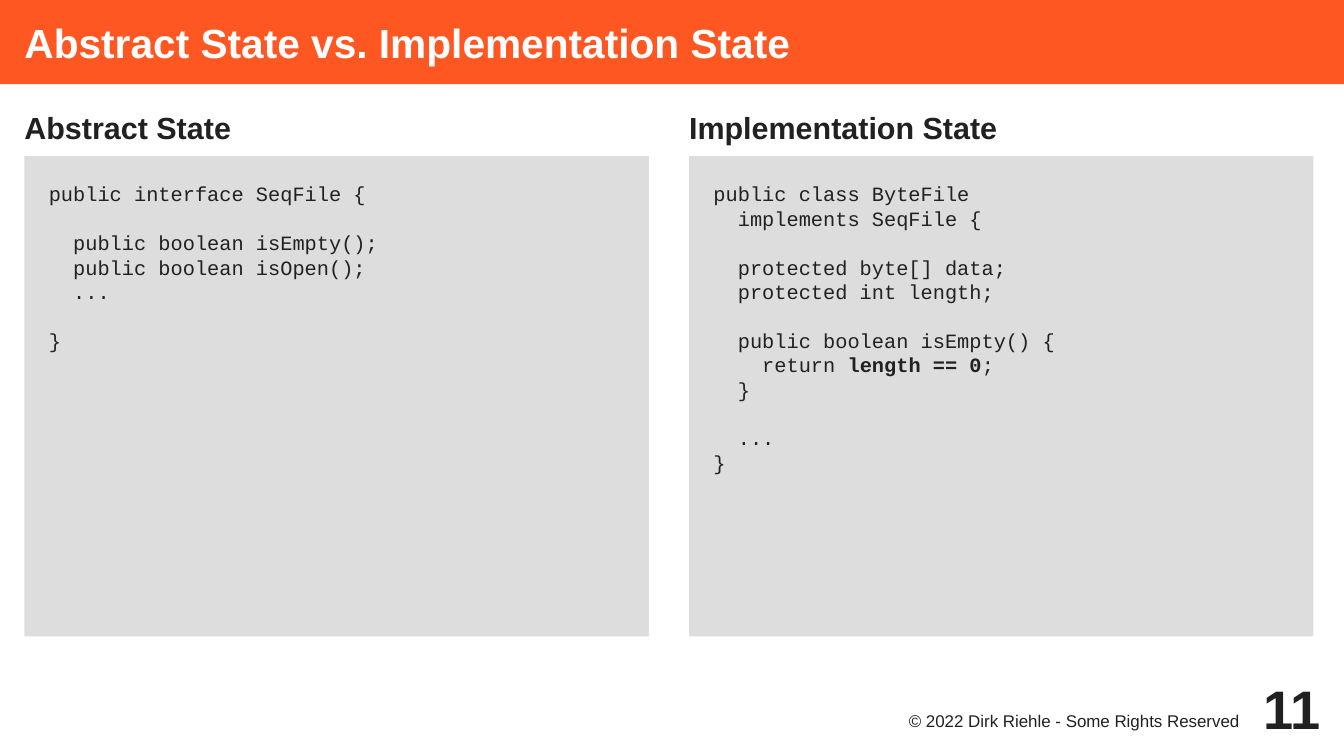
import pptx
import pptx.dml.color
import pptx.enum.text
import pptx.util
from lxml import etree
from pptx.oxml.ns import qn

Inches, Pt = pptx.util.Inches, pptx.util.Pt
RGBColor = pptx.dml.color.RGBColor
ALIGN = pptx.enum.text.PP_ALIGN
ANCHOR = pptx.enum.text.MSO_ANCHOR

ORANGE = RGBColor(0xFF, 0x57, 0x22)
WHITE = RGBColor(0xFF, 0xFF, 0xFF)
INK = RGBColor(0x21, 0x21, 0x21)
GREY = RGBColor(0xDD, 0xDD, 0xDD)

TITLE = {"name": "Arial", "size": Pt(24), "bold": True}
HEADING = {"name": "Arial", "size": Pt(18), "bold": True}
CODE = {"name": "Courier New", "size": Pt(12), "bold": False}
FOOTER = {"name": "Arial", "size": Pt(10), "bold": False}
NUMBER = {"name": "Arial", "size": Pt(32), "bold": True}
CODE_LINE = 14.4

ABSTRACT_CODE = """\
public interface SeqFile {

  public boolean isEmpty();
  public boolean isOpen();
  ...

}"""

IMPLEMENTATION_CODE = """\
public class ByteFile
  implements SeqFile {

  protected byte[] data;
  protected int length;

  public boolean isEmpty() {
    return **length == 0**;
  }

  ...
}"""


def place(sp, box):
    sp.left, sp.top, sp.width, sp.height = (Inches(v) for v in box)


def fill(sp, color):
    sp.fill.solid()
    sp.fill.fore_color.rgb = color


def set_frame(sp, insets=(0, 0, 0, 0), anchor=ANCHOR.TOP):
    tf = sp.text_frame
    sides = ("margin_left", "margin_top", "margin_right", "margin_bottom")
    values = dict(zip(sides, map(Inches, insets)))
    values.update(word_wrap=True, vertical_anchor=anchor,
                  auto_size=pptx.enum.text.MSO_AUTO_SIZE.NONE)
    for name, value in values.items():
        setattr(tf, name, value)
    return tf


def set_paragraph(p, align=ALIGN.LEFT, before=0):
    """Remove the template's bullet, indent and spacing."""
    pPr = p._p.get_or_add_pPr()
    pPr.set("marL", "0")
    pPr.set("indent", "0")
    etree.SubElement(pPr, qn("a:buNone"))
    p.alignment = align
    p.space_before = Pt(before)
    p.space_after = Pt(0)


def add_run(p, text, style, color=INK):
    r = p.add_run()
    r.text = text
    for name, value in style.items():
        setattr(r.font, name, value)
    r.font.color.rgb = color


def write_line(tf, text, style, color=INK, align=ALIGN.LEFT):
    p = tf.paragraphs[0]
    set_paragraph(p, align)
    add_run(p, text, style, color)


def write_code(tf, code):
    """Write code lines; ** switches bold, an empty line becomes spacing."""
    p, gap = None, 0
    for line in code.split("\n"):
        if not line:
            gap += CODE_LINE
            continue
        p = tf.add_paragraph() if p else tf.paragraphs[0]
        set_paragraph(p, before=gap)
        p.line_spacing = Pt(CODE_LINE)
        for i, part in enumerate(line.split("**")):
            add_run(p, part, {**CODE, "bold": i % 2 == 1})
        gap = 0


def title_bar(sp, box):
    place(sp, box)
    fill(sp, ORANGE)
    tf = set_frame(sp, (0.2, 0, 0, 0), ANCHOR.MIDDLE)
    write_line(tf, "Abstract State vs. Implementation State", TITLE, WHITE)


def code_column(heading, panel, box, title, code):
    left, top, width, height = box
    place(heading, box)
    write_line(set_frame(heading), title, HEADING)
    place(panel, (left, top + 0.39, width - 0.07, height - 0.59))
    fill(panel, GREY)
    write_code(set_frame(panel, (0.2, 0.21, 0, 0)), code)


def footer(slide, box):
    left, top, width, height = box
    sp = slide.shapes.add_textbox(0, 0, 0, 0)
    place(sp, (left, top + 0.3, width - 0.59, 0.3))
    tf = set_frame(sp, (0, 0.02, 0.08, 0))
    write_line(tf, "© 2022 Dirk Riehle - Some Rights Reserved", FOOTER,
               align=ALIGN.RIGHT)
    sp = slide.shapes.add_textbox(0, 0, 0, 0)
    place(sp, (left + width - 0.79, top, 0.79, height))
    write_line(set_frame(sp, anchor=ANCHOR.MIDDLE), "11", NUMBER,
               align=ALIGN.RIGHT)


def main():
    prs = pptx.Presentation()
    prs.slide_width, prs.slide_height = Inches(11.02), Inches(6.2)
    slide = prs.slides.add_slide(prs.slide_layouts.get_by_name("Comparison"))
    title, *bodies = slide.placeholders
    title_bar(title, (0, 0, 11.02, 0.69))
    columns = (("Abstract State", ABSTRACT_CODE),
               ("Implementation State", IMPLEMENTATION_CODE))
    for i, (heading, code) in enumerate(columns):
        box = (0.2 + i * 5.45, 0.89, 5.19, 4.53)
        code_column(bodies[2 * i], bodies[2 * i + 1], box, heading, code)
    footer(slide, (7.09, 5.51, 3.74, 0.59))
    prs.save("out.pptx")


if __name__ == "__main__":
    main()
